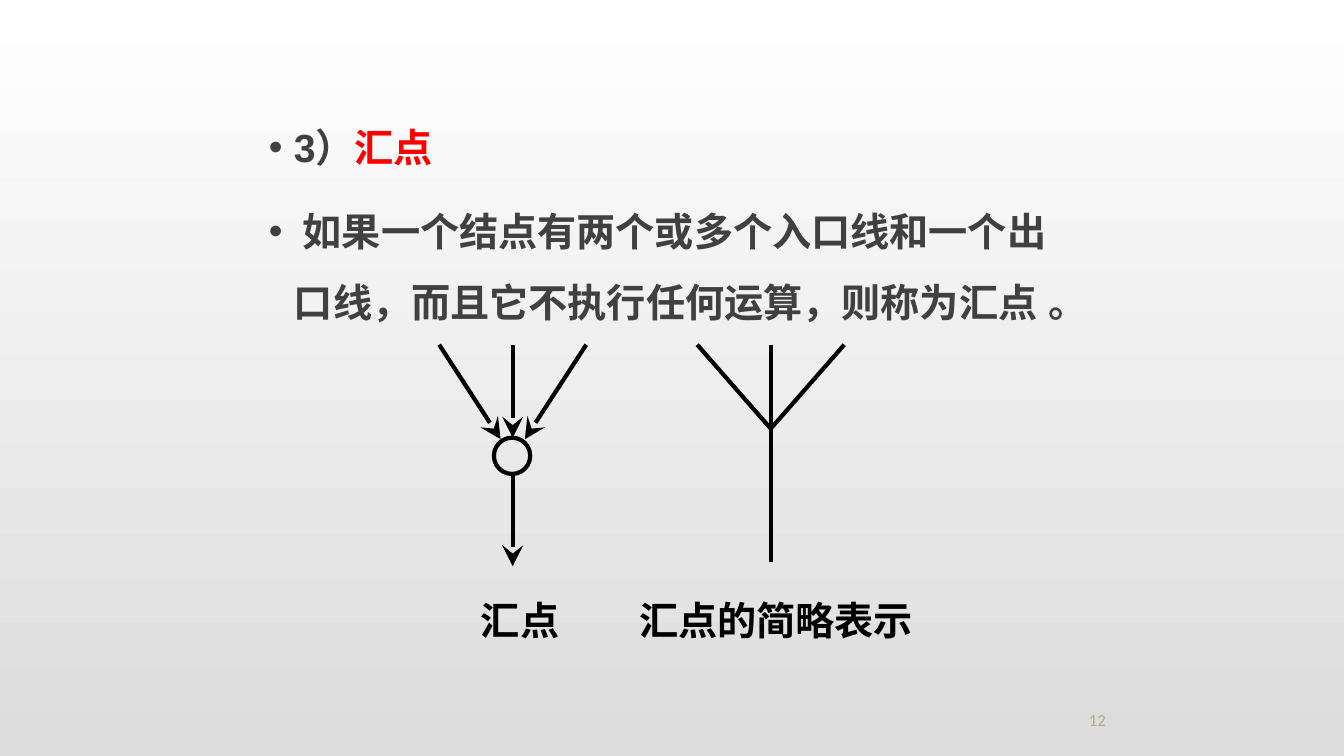
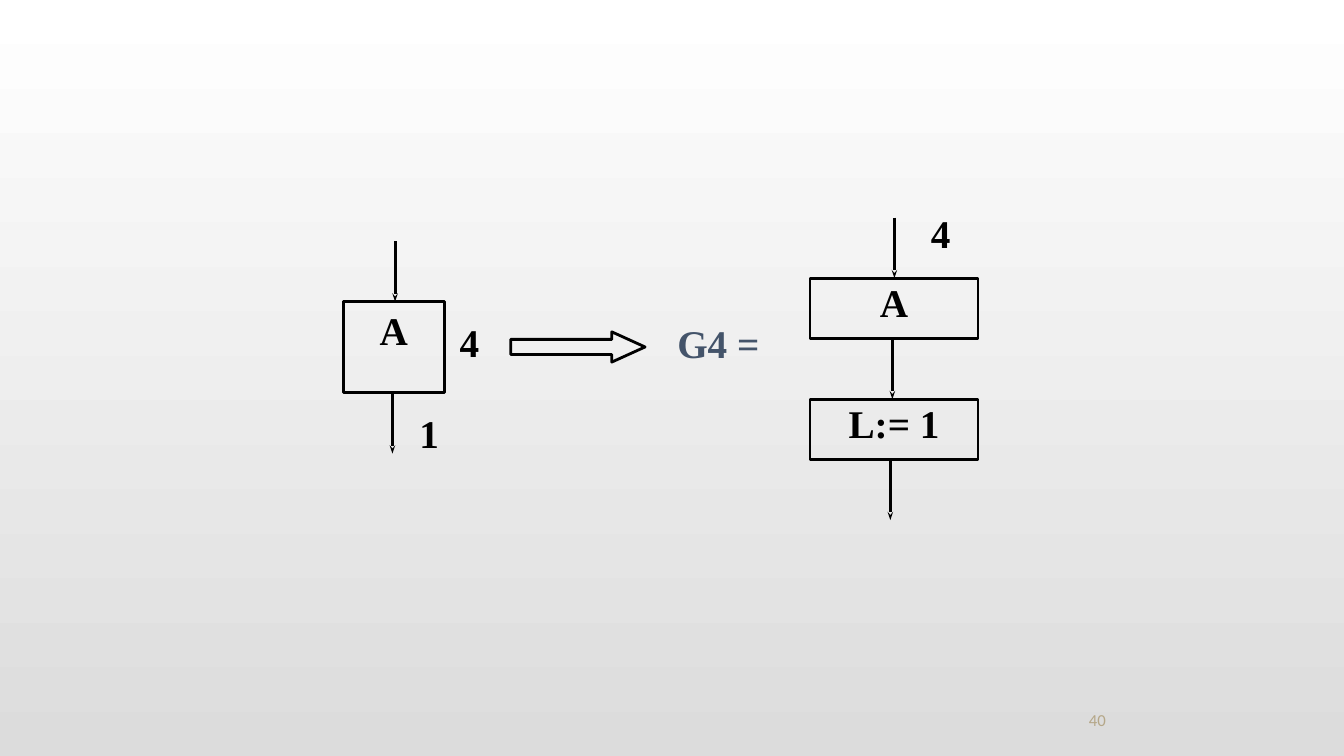
from dataclasses import dataclass

from lxml.etree import SubElement
from pptx import Presentation
from pptx.dml.color import RGBColor as Rgb
from pptx.enum.shapes import MSO_CONNECTOR as Wire, MSO_SHAPE as Shape
from pptx.enum.text import MSO_ANCHOR as Anchor, PP_ALIGN as Align
from pptx.oxml.ns import qn
from pptx.util import Inches, Pt


@dataclass(frozen=True)
class Theme:
    ink: str = "000000"
    grey: str = "404040"
    red: str = "FF0000"
    blue: str = "44546A"
    sand: str = "B5A788"
    top: str = "FFFFFF"
    base: str = "DCDCDC"
    sans: str = "Arial"
    han: str = "Noto Sans CJK SC"
    serif: str = "Times New Roman"
    foot: str = "Calibri"
    main: int = 28
    small: int = 12
    thick: int = 3
    thin: int = 2


look = Theme()
deck = Presentation()
deck.slide_width, deck.slide_height = Inches(13.34), Inches(7.5)
# The grid has 100 columns and 100 rows.
col, row = deck.slide_width / 100, deck.slide_height / 100

fill = deck.slide_master.background.fill
fill.gradient()
fill.gradient_angle = 270
for stop, tone in zip(fill.gradient_stops, (look.top, look.base)):
    stop.color.rgb = Rgb.from_string(tone)


def put(page, cell, paras=(), kind=None, wide=0, size=look.main, bold=True,
        align=Align.CENTER, pad=(0, 0), anchor=Anchor.TOP):
    """Add an outlined shape, or a text box without kind; a run is (text, font, colour)."""
    x, y, w, h = cell
    box = [int(n) for n in (x * col, y * row, w * col, h * row)]
    if kind is None:
        item = page.shapes.add_textbox(*box)
    else:
        item = page.shapes.add_shape(kind, *box)
        item.shadow.inherit = False
        item.fill.background()
        item.line.color.rgb = Rgb.from_string(look.ink)
        item.line.width = Pt(wide)
    frame = item.text_frame
    frame.word_wrap, frame.vertical_anchor = True, anchor
    frame.margin_left = frame.margin_right = Inches(pad[0])
    frame.margin_top = frame.margin_bottom = Inches(pad[1])
    for i, runs in enumerate(paras):
        para = frame.add_paragraph() if i else frame.paragraphs[0]
        para.alignment = align
        for text, face, tone in runs:
            run = para.add_run()
            run.text = text
            font = run.font
            font.size, font.bold, font.name = Pt(size), bold, face
            font.color.rgb = Rgb.from_string(tone)
            SubElement(run._r.get_or_add_rPr(), qn("a:ea"), typeface=face)
    return item


def link(page, start, end, wide, head=None):
    """Join two grid points; head gives the width and length of the arrowhead."""
    ends = [int(n) for x, y in (start, end) for n in (x * col, y * row)]
    wire = page.shapes.add_connector(Wire.STRAIGHT, *ends)
    wire.line.color.rgb = Rgb.from_string(look.ink)
    wire.line.width = Pt(wide)
    if head:
        SubElement(wire.line._get_or_add_ln(), qn("a:tailEnd"),
                   type="stealth", w=head[0], len=head[1])
    SubElement(wire._element.spPr, qn("a:effectLst"))


pages = []
for num in ("12", "40"):
    page = deck.slides.add_slide(deck.slide_layouts[6])
    put(page, (70.6, 92.5, 22.1, 4.7), [[(num, look.foot, look.sand)]],
        size=look.small, bold=False, pad=(0.1, 0.05), anchor=Anchor.BOTTOM)
    pages.append(page)
join, flow = pages

# Junction point: definition
body = put(join, (20, 12.5, 60, 33.3), [
    [("3", look.sans, look.grey), ("）", look.han, look.grey),
     ("汇点", look.han, look.red)],
    [(" 如果一个结点有两个或多个入口线和一个出口线，而且它不执行任何运算，则称为汇点",
      look.han, look.grey), (" 。", look.sans, look.grey)],
], align=Align.LEFT, pad=(0, 0.05))
for para in body.text_frame.paragraphs:
    prop = para._p.get_or_add_pPr()
    prop.set("marL", str(Inches(0.25)))
    prop.set("indent", str(-Inches(0.25)))
    SubElement(SubElement(prop, qn("a:buClr")), qn("a:srgbClr"), val=look.grey)
    SubElement(prop, qn("a:buFont"), typeface=look.sans)
    SubElement(prop, qn("a:buChar"), char="•")
    para.line_spacing, para.space_after = 1.5, Pt(10)

# Junction point: full and short form
mid, fork, top, span = 38.15, 57.35, 45.6, 5.47
big = ("lg", "lg")
put(join, (mid - 1.4, 57.9, 2.7, 4.8), kind=Shape.OVAL, wide=look.thick)
link(join, (mid, top), (mid, 57.9), look.thick, big)
link(join, (mid, 62.7), (mid, 74.9), look.thick, big)
link(join, (fork, top), (fork, 74.3), look.thick)
for side in (-1, 1):
    link(join, (mid + side * span, top), (mid + side * 0.9, 58.1), look.thick, big)
    link(join, (fork + side * span, top), (fork, 56.7), look.thick)
for x, w, name in ((33.7, 10, "汇点"), (45.25, 25, "汇点的简略表示")):
    put(join, (x, 78.9, w, 8.3), [[(name, look.han, look.ink)]])

# Flow chart: boxes and arrows, one step is 8 rows
step, slim = 8, ("sm", "med")
put(flow, (25.55, 39.9, 7.5, 12), [[("A", look.serif, look.ink)]],
    Shape.RECTANGLE, look.thin, pad=(0.1, 0.05))
for i, name in enumerate(("A", "L:= 1")):
    put(flow, (60.27, 36.8 + 2 * i * step, 12.5, step),
        [[(name, look.serif, look.ink)]], Shape.RECTANGLE, look.thin)
for x, y in ((29.4, 31.9), (29.2, 52), (66.55, 28.8), (66.4, 44.8), (66.25, 60.8)):
    link(flow, (x, y), (x, y + step), look.thin, slim)
arrow = put(flow, (38, 43.9, 10, 4), kind=Shape.RIGHT_ARROW, wide=look.thin)
arrow.adjustments[0], arrow.adjustments[1] = 0.5, 1.1

# Flow chart: labels
put(flow, (47.2, 42.3, 12.5, 16), [[("G4 =", look.serif, look.blue)]])
for x, y, mark in ((34.2, 42.1, "4"), (69.27, 27.7, "4"), (31.2, 54.1, "1")):
    put(flow, (x, y, 6.3, step), [[(mark, look.serif, look.ink)]], align=Align.JUSTIFY)

deck.save("out.pptx")
